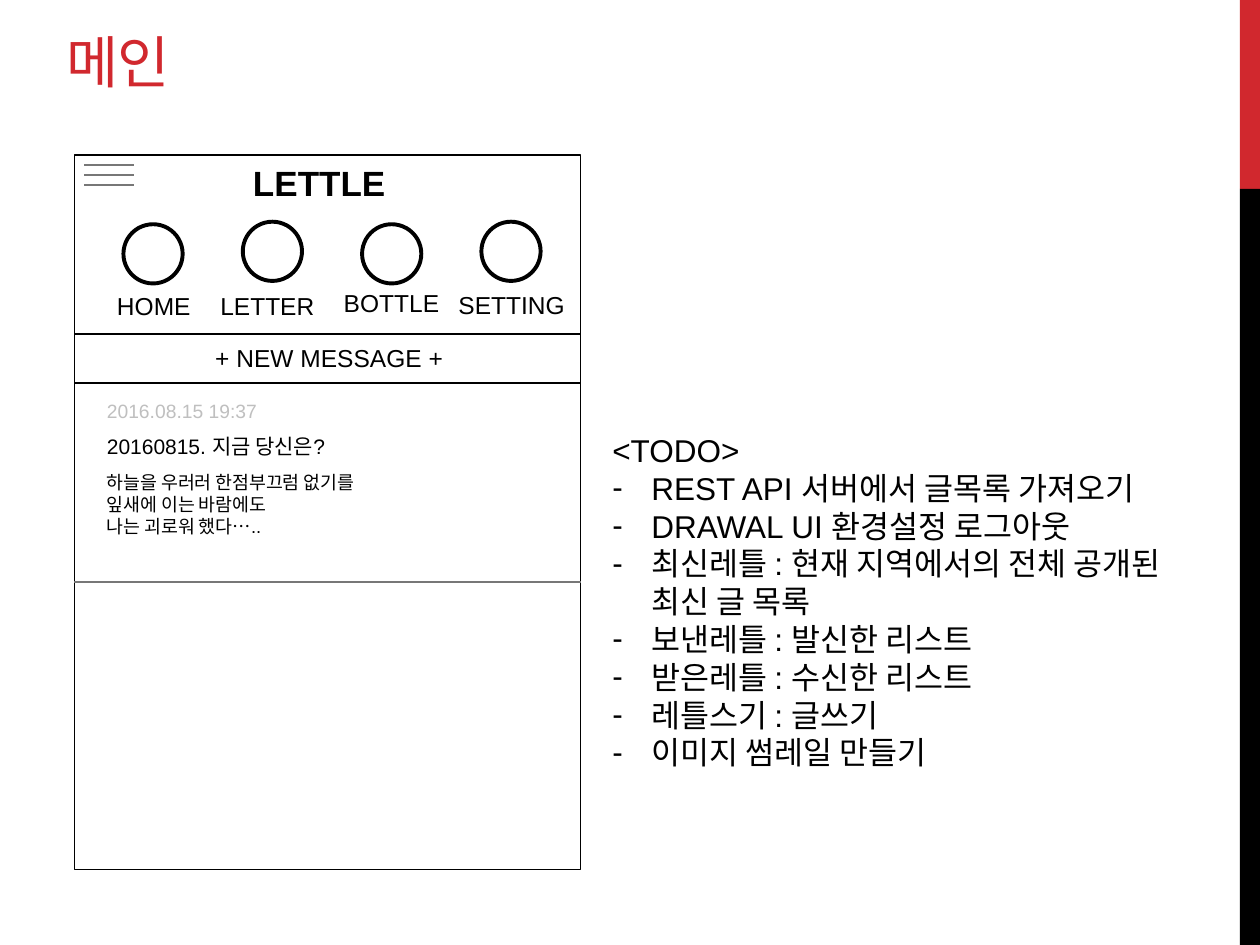
import pptx
import pptx.util
import pptx.dml.color
import pptx.enum.shapes
import pptx.enum.text
import pptx.oxml.ns
import lxml.etree

Inches = pptx.util.Inches
Pt = pptx.util.Pt
RGB = pptx.dml.color.RGBColor.from_string
MSO_SHAPE = pptx.enum.shapes.MSO_SHAPE
qn = pptx.oxml.ns.qn

THEME = {
    "red": "D1282E", "black": "000000", "white": "FFFFFF",
    "grey": "777777", "pale": "BFBFBF",
    "title_font": "Montserrat", "font": "Arial",
    "title": 32.4, "brand": 20, "todo": 18, "label": 14,
    "subject": 12, "date": 11, "message": 10.5,
}

prs = pptx.Presentation()
prs.slide_width = Inches(10)
prs.slide_height = Inches(7.5)
s = prs.slides.add_slide(prs.slide_layouts[1])


def add_run(p, text, size, color="black", font="font", bold=False):
    r = p.add_run()
    r.text = text
    r.font.name = THEME[font]
    r.font.size = Pt(THEME[size])
    r.font.bold = bold
    r.font.color.rgb = RGB(THEME[color])
    return r


def add_box(kind, x, y, w, h, fill, line_width=0):
    sp = s.shapes.add_shape(kind, Inches(x), Inches(y), Inches(w), Inches(h))
    sp.shadow.inherit = False
    sp.fill.solid()
    sp.fill.fore_color.rgb = RGB(THEME[fill])
    if line_width:
        sp.line.color.rgb = RGB(THEME["black"])
        sp.line.width = Pt(line_width)
    else:
        sp.line.fill.background()


add_box(MSO_SHAPE.RECTANGLE, 9.84, 0, 0.16, 1.5, "red")
add_box(MSO_SHAPE.RECTANGLE, 9.84, 1.5, 0.16, 6, "black")

title = s.shapes.title
title.left, title.top, title.width, title.height = Inches(0.43), Inches(0.13), Inches(6.33), Inches(0.67)
tf = title.text_frame
tf.auto_size = pptx.enum.text.MSO_AUTO_SIZE.NONE
tf.vertical_anchor = pptx.enum.text.MSO_ANCHOR.BOTTOM
p = tf.paragraphs[0]
p.alignment = pptx.enum.text.PP_ALIGN.LEFT
r = add_run(p, "메인", "title", "red", "title_font")
r.font._element.set("spc", "-60")

phone_left, phone_right = 0.59, 4.61
add_box(MSO_SHAPE.RECTANGLE, phone_left, 1.23, phone_right - phone_left, 5.67, "white", 0.75)

lines = [(phone_left, phone_right, y, c) for y, c in ((2.65, "black"), (3.04, "black"), (4.62, "grey"))]
lines += [(0.67, 1.06, 1.31 + 0.08 * i, "grey") for i in range(3)]
for x1, x2, y, color in lines:
    cn = s.shapes.add_connector(pptx.enum.shapes.MSO_CONNECTOR.STRAIGHT, Inches(x1), Inches(y), Inches(x2), Inches(y))
    cn.line.color.rgb = RGB(THEME[color])
    cn.line.width = Pt(1)
    lxml.etree.SubElement(cn._element.spPr, qn("a:effectLst"))

for i in range(4):
    add_box(MSO_SHAPE.OVAL, 0.98 + 0.947 * i, 1.78 - 0.02 * (i % 2), 0.47, 0.47, "white", 2.25)

texts = [
    (1.91, 1.23, 1.26, 0.44, "brand", "black", ["LETTLE"]),
    (0.83, 2.26, 0.79, 0.34, "label", "black", ["HOME"]),
    (1.65, 2.26, 0.95, 0.34, "label", "black", ["LETTER"]),
    (2.63, 2.24, 0.96, 0.34, "label", "black", ["BOTTLE"]),
    (3.54, 2.25, 1.05, 0.34, "label", "black", ["SETTING"]),
    (1.61, 2.67, 2.03, 0.34, "label", "black", ["+ NEW MESSAGE +"]),
    (0.75, 3.12, 1.4, 0.29, "date", "pale", ["2016.08.15 19:37"]),
    (0.75, 3.39, 2.02, 0.3, "subject", "black", ["20160815. 지금 당신은?"]),
    (0.75, 3.69, 2.42, 0.63, "message", "black",
     ["하늘을 우러러 한점부끄럼 없기를", "잎새에 이는 바람에도", "나는 괴로워 했다…..",]),
]
for x, y, w, h, size, color, rows in texts:
    tf = s.shapes.add_textbox(Inches(x), Inches(y), Inches(w), Inches(h)).text_frame
    tf.word_wrap = False
    tf.auto_size = pptx.enum.text.MSO_AUTO_SIZE.SHAPE_TO_FIT_TEXT
    for i, row in enumerate(rows):
        p = tf.add_paragraph() if i else tf.paragraphs[0]
        add_run(p, row, size, color, bold=size == "brand")

todo = [
    "<TODO>",
    "REST API 서버에서 글목록 가져오기",
    "DRAWAL UI 환경설정 로그아웃",
    "최신레틀 : 현재 지역에서의 전체 공개된 최신 글 목록",
    "보낸레틀 : 발신한 리스트",
    "받은레틀 : 수신한 리스트",
    "레틀스기 : 글쓰기",
    "이미지 썸레일 만들기",
]
body = s.placeholders[1]
body.left, body.top, body.width, body.height = Inches(4.76), Inches(3.37), Inches(4.96), Inches(3.13)
tf = body.text_frame
tf.word_wrap = True
tf.auto_size = pptx.enum.text.MSO_AUTO_SIZE.NONE
for i, row in enumerate(todo):
    p = tf.add_paragraph() if i else tf.paragraphs[0]
    p.space_before = Pt(0)
    indent = Inches(0.31) if i else 0
    pPr = p._p.get_or_add_pPr()
    pPr.set("marL", str(indent))
    pPr.set("indent", str(-indent))
    if i:
        lxml.etree.SubElement(pPr, qn("a:buChar")).set("char", "-")
    else:
        lxml.etree.SubElement(pPr, qn("a:buNone"))
    add_run(p, row, "todo")

prs.save("out.pptx")
